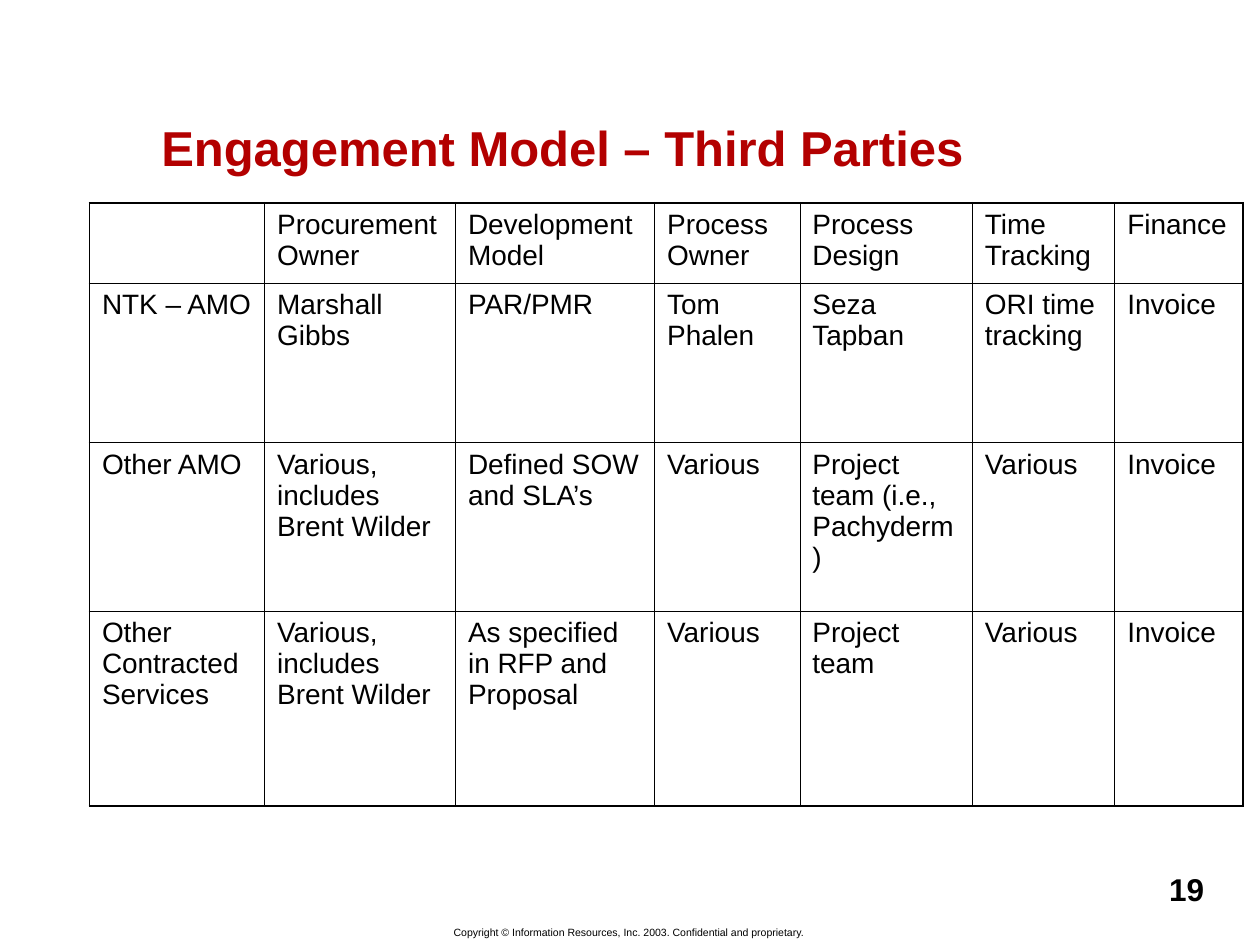
"""Build the third-party engagement model slide."""
from dataclasses import dataclass

from lxml.etree import SubElement
from pptx import Presentation
from pptx.dml.color import RGBColor
from pptx.enum.text import MSO_ANCHOR, MSO_AUTO_SIZE, PP_ALIGN
from pptx.oxml.ns import qn
from pptx.util import Pt

FONT = "Arial"
COLORS = {"title": "B30000", "text": "000000", "border": "000000"}
OUTER_BORDER, INNER_BORDER = 1.08, 0.45
TABLE_LEFT, TABLE_TOP = 51.1, 115.9
COLUMN_WIDTHS = (100.1, 109.1, 113.8, 83, 98.6, 81.4, 73.4)
ROW_HEIGHTS = (45.8, 91.2, 96.2, 111.6)
TABLE_ROWS = (
    ("", "Procurement Owner", "Development Model", "Process Owner",
     "Process Design", "Time Tracking", "Finance"),
    ("NTK – AMO", "Marshall Gibbs", "PAR/PMR", "Tom Phalen",
     "Seza Tapban", "ORI time tracking", "Invoice"),
    ("Other AMO", "Various, includes \nBrent Wilder", "Defined SOW and SLA’s", "Various",
     "Project team (i.e., Pachyderm)", "Various", "Invoice"),
    ("Other Contracted Services", "Various, includes \nBrent Wilder",
     "As specified in RFP and Proposal", "Various", "Project team", "Various", "Invoice"),
)


@dataclass(frozen=True)
class TextStyle:
    size: float
    color: str = "text"
    bold: bool = False
    alignment: PP_ALIGN = PP_ALIGN.LEFT


@dataclass(frozen=True)
class Label:
    text: str
    left: float
    top: float
    width: float
    height: float
    style: TextStyle


TITLE = Label("Engagement Model – Third Parties", 85, 57.6, 594, 46.8,
              TextStyle(28, "title", bold=True))
FOOTERS = (
    Label("Copyright © Information Resources, Inc. 2003. Confidential and proprietary.",
          179.3, 525.6, 360, 14.4, TextStyle(6, alignment=PP_ALIGN.CENTER)),
    Label("19", 661, 493.9, 38.2, 28.8, TextStyle(18, bold=True)),
)
CELL_STYLE = TextStyle(16)


def write_text(text_frame, text: str, style: TextStyle) -> None:
    """Write styled runs, with a line break between lines."""
    paragraph = text_frame.paragraphs[0]
    paragraph.alignment = style.alignment
    for index, line in enumerate(text.split("\n")):
        if index:
            paragraph.add_line_break()
        run = paragraph.add_run()
        run.text = line
        run.font.name = FONT
        run.font.size = Pt(style.size)
        run.font.bold = style.bold
        run.font.color.rgb = RGBColor.from_string(COLORS[style.color])


def fill_label(shape, label: Label, anchor: MSO_ANCHOR) -> None:
    """Place a text shape and write its label."""
    shape.left, shape.top = Pt(label.left), Pt(label.top)
    shape.width, shape.height = Pt(label.width), Pt(label.height)
    text_frame = shape.text_frame
    text_frame.word_wrap = True
    text_frame.auto_size = MSO_AUTO_SIZE.NONE
    text_frame.vertical_anchor = anchor
    write_text(text_frame, label.text, label.style)


def set_borders(cell, outer_sides: dict[str, bool]) -> None:
    """Draw the four cell borders, heavier on the outer sides."""
    properties = cell._tc.get_or_add_tcPr()
    for position, (side, is_outer) in enumerate(outer_sides.items()):
        width = Pt(OUTER_BORDER if is_outer else INNER_BORDER)
        line = SubElement(properties, qn(f"a:ln{side}"), w=str(width))
        fill = SubElement(line, qn("a:solidFill"))
        SubElement(fill, qn("a:srgbClr"), val=COLORS["border"])
        properties.insert(position, line)


def add_engagement_table(slide) -> None:
    """Add the engagement table."""
    row_count, column_count = len(ROW_HEIGHTS), len(COLUMN_WIDTHS)
    table = slide.shapes.add_table(
        row_count, column_count, Pt(TABLE_LEFT), Pt(TABLE_TOP),
        Pt(sum(COLUMN_WIDTHS)), Pt(sum(ROW_HEIGHTS))).table
    table.first_row = table.horz_banding = False
    for column, width in zip(table.columns, COLUMN_WIDTHS):
        column.width = Pt(width)
    for row, height in zip(table.rows, ROW_HEIGHTS):
        row.height = Pt(height)
    for row_index, texts in enumerate(TABLE_ROWS):
        for column_index, text in enumerate(texts):
            cell = table.cell(row_index, column_index)
            cell.fill.background()
            set_borders(cell, {
                "L": column_index == 0,
                "R": column_index == column_count - 1,
                "T": row_index == 0,
                "B": row_index == row_count - 1,
            })
            if text:
                write_text(cell.text_frame, text, CELL_STYLE)


def main() -> None:
    """Build and save the presentation."""
    presentation = Presentation()
    presentation.slide_width, presentation.slide_height = Pt(720), Pt(540)
    slide = presentation.slides.add_slide(presentation.slide_layouts[5])
    fill_label(slide.shapes.title, TITLE, MSO_ANCHOR.BOTTOM)
    add_engagement_table(slide)
    for footer in FOOTERS:
        text_box = slide.shapes.add_textbox(0, 0, 0, 0)
        fill_label(text_box, footer, MSO_ANCHOR.TOP)
    presentation.save("out.pptx")


if __name__ == "__main__":
    main()
